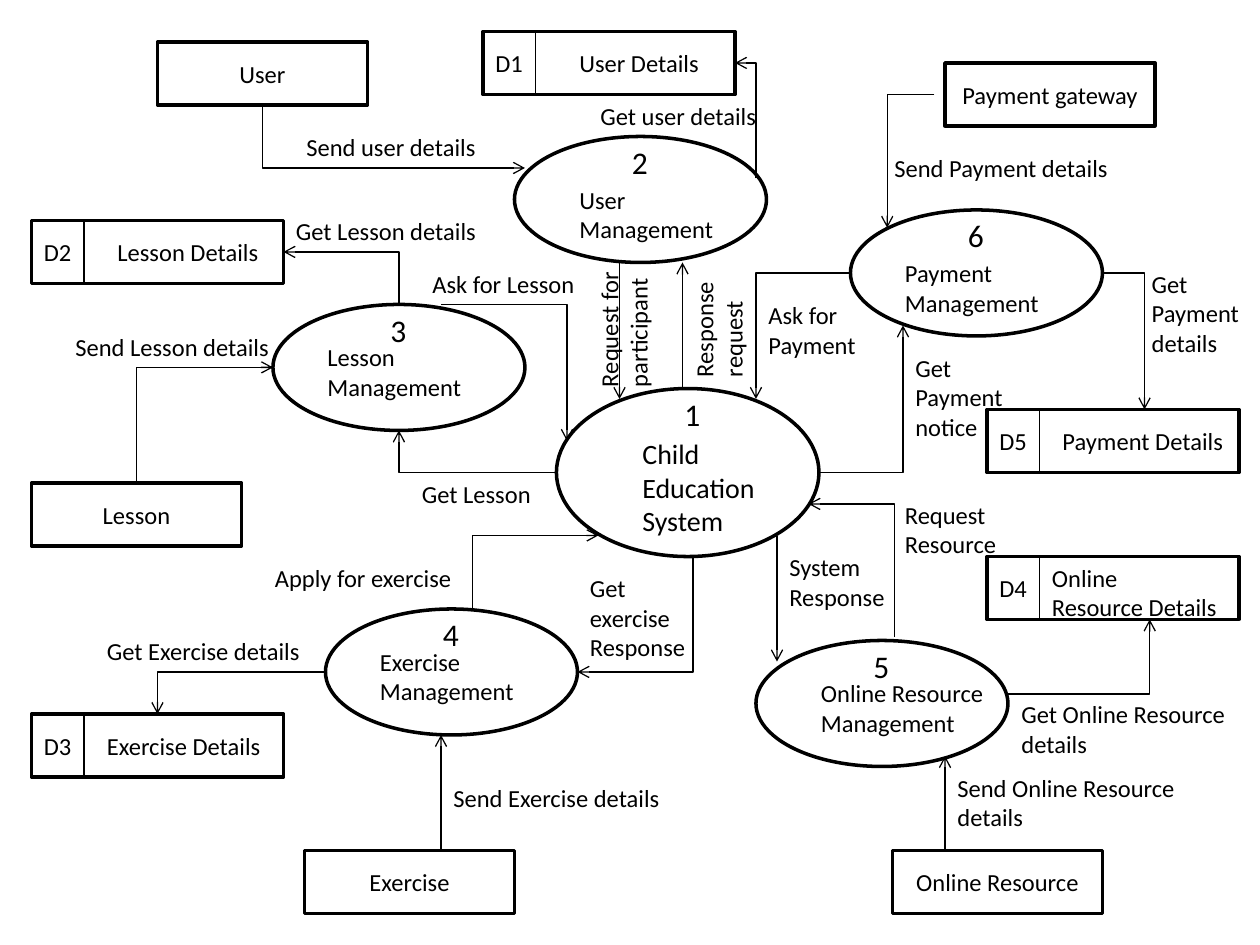
"""Build a data flow diagram of a child education system on one slide."""
import pptx
import pptx.dml.color
import pptx.enum.shapes
import pptx.enum.text
import pptx.oxml
import pptx.oxml.ns
import pptx.util

THEME = {
    "font": "Calibri",
    "ink": pptx.dml.color.RGBColor(0, 0, 0),
    "text": 14,
    "system": 16,
    "number": 18,
    "outline": pptx.util.Pt(2),
    "flow": pptx.util.Pt(0.75),
}
SHAPES = pptx.enum.shapes.MSO_SHAPE
ALIGN = pptx.enum.text.PP_ALIGN

deck = pptx.Presentation()
deck.slide_width = pptx.util.Inches(10)
deck.slide_height = pptx.util.Inches(7.5)
COLUMNS = 120
CELL = deck.slide_width / COLUMNS
page = deck.slides.add_slide(deck.slide_layouts[6])


def add_box(parent, area, text="", size=THEME["text"], kind=None, wrap=False):
    """Add an outlined shape of the given kind, or a text box without one."""
    left, top, width, height = (round(length * CELL) for length in area)
    if kind is None:
        box = parent.add_textbox(left, top, width, height)
    else:
        box = parent.add_shape(kind, left, top, width, height)
        box.shadow.inherit = False
        box.fill.background()
        box.line.color.rgb = THEME["ink"]
        box.line.width = THEME["outline"]
    if text:
        box.text_frame.word_wrap = wrap
        box.text_frame.text = text
        for para in box.text_frame.paragraphs:
            para.alignment = ALIGN.LEFT if kind is None else ALIGN.CENTER
            para.font.name = THEME["font"]
            para.font.size = pptx.util.Pt(size)
            para.font.color.rgb = THEME["ink"]
    return box


def add_line(parent, ends, route="straight", arrow=True):
    """Add a line; route is straight, across (then vertical) or upright (then horizontal)."""
    x1, y1, x2, y2 = ends
    turn = 0
    if route == "upright":
        turn = 1 if (x2 - x1) * (y2 - y1) < 0 else -1
        middle_x, middle_y = (x1 + x2) / 2, (y1 + y2) / 2
        dx, dy = turn * (x1 - middle_x), turn * (y1 - middle_y)
        ends = middle_x + dy, middle_y - dx, middle_x - dy, middle_y + dx
    kinds = pptx.enum.shapes.MSO_CONNECTOR
    kind = kinds.STRAIGHT if route == "straight" else kinds.ELBOW
    line = parent.add_connector(kind, *(round(length * CELL) for length in ends))
    line.line.color.rgb = THEME["ink"]
    line.line.width = THEME["flow"]
    properties = line._element.spPr
    if route != "straight":
        properties.find(pptx.oxml.ns.qn("a:prstGeom")).set("prst", "bentConnector2")
    if turn:
        properties.find(pptx.oxml.ns.qn("a:xfrm")).set("rot", str(turn * 90 * 60000 % 21600000))
    if arrow:
        stroke = properties.find(pptx.oxml.ns.qn("a:ln"))
        stroke.append(pptx.oxml.parse_xml(
            f'<a:tailEnd {pptx.oxml.ns.nsdecls("a")} type="arrow"/>'))
    properties.append(pptx.oxml.parse_xml(f'<a:effectLst {pptx.oxml.ns.nsdecls("a")}/>'))


entities = [
    ("User", 15, 4),
    ("Payment gateway", 90, 6),
    ("Lesson", 3, 46),
    ("Exercise", 29, 81),
    ("Online Resource", 85, 81),
]
for name, column, row in entities:
    add_box(page.shapes, (column, row, 20, 6), name, kind=SHAPES.RECTANGLE)

stores = [
    ("D1", "User Details", 46, 3, 8, 13.9),
    ("D2", "Lesson Details", 3, 21, 7, 16),
    ("D3", "Exercise Details", 3, 68, 6, 17.3),
    ("D4", "Online\nResource Details", 94, 53, 5, 21),
    ("D5", "Payment Details", 94, 39, 6, 17.9),
]
for code, name, column, row, indent, width in stores:
    store = page.shapes.add_group_shape().shapes
    lines = name.count("\n") + 1
    add_box(store, (column, row, 24, 6), kind=SHAPES.RECTANGLE)
    add_line(store, (column + 5, row, column + 5, row + 6), arrow=False)
    add_box(store, (column, row + 1, 5, 4), code)
    add_box(store, (column + indent, row + 2 - lines, width, 1.2 + 2.84 * lines), name,
            wrap=lines > 1)

processes = [
    ("1", "Child\nEducation\nSystem", (53, 37, 25, 16), (60, 41, 15.7, 14.5), THEME["system"]),
    ("2", "User\nManagement", (49, 13, 24, 12), (54, 17, 15.2, 6.9), THEME["text"]),
    ("3", "Lesson\nManagement", (26, 29, 24, 12), (30, 32, 15.2, 6.9), THEME["text"]),
    ("4", "Exercise\nManagement", (31, 58, 24, 12), (35, 61, 15.2, 6.9), THEME["text"]),
    ("5", "Online Resource\nManagement", (72, 61, 24, 12), (77, 64, 18.6, 6.9), THEME["text"]),
    ("6", "Payment\nManagement", (81, 20, 24, 12), (85, 24, 15.2, 6.9), THEME["text"]),
]
for number, name, oval, name_area, size in processes:
    process = page.shapes.add_group_shape().shapes
    left, top, width, height = oval
    add_box(process, oval, kind=SHAPES.OVAL)
    add_box(process, name_area, name, size)
    add_box(process, (left + (width + 1) // 2 - 2, top, 4, 4.8), number, THEME["number"])

flows = {
    "straight": [
        (42, 81, 42, 70), (90, 81, 90, 72), (59, 25, 59, 38),
        (65, 37, 65, 25), (74, 51, 74, 63),
    ],
    "across": [
        (31, 64, 15, 68), (96, 66.1, 109.5, 59), (89, 9, 84.5, 21.7),
        (105, 26, 109, 39), (81, 26, 72, 38), (78, 45, 86, 31),
        (53, 45, 38, 41), (42, 29, 54, 42),
    ],
    "upright": [
        (25, 10, 50, 16), (72, 17, 70, 6), (38, 29, 27, 24), (13, 46, 26, 35),
        (85.2, 60.7, 77, 48), (66, 53, 55, 64), (45, 58, 57, 51),
    ],
}
for route, paths in flows.items():
    for ends in paths:
        add_line(page.shapes, ends, route)

labels = [
    ("Send user details", 28, 12, 18.7, 0),
    ("Send Lesson details", 6, 31, 21, 0),
    ("Send Exercise details", 42, 74, 22.3, 0),
    ("Send Online Resource\ndetails", 90, 73, 23.9, 0),
    ("Send Payment details", 84, 14, 22.9, 0),
    ("Get user details", 56, 9, 17.4, 0),
    ("Get Lesson details", 27, 20, 19.8, 0),
    ("Get Exercise details", 9, 60, 21, 0),
    ("Get Online Resource\ndetails", 96.1, 66, 22.6, 0),
    ("Get\nPayment\ndetails", 108.5, 25, 11.4, 0),
    ("Apply for exercise", 25, 53, 19.9, 0),
    ("Get\nexercise\nResponse", 55, 54, 12.1, 0),
    ("Request\nResource", 85, 47, 11.8, 0),
    ("System\nResponse", 74, 52, 11.8, 0),
    ("Ask for\nPayment", 72, 28, 10.8, 0),
    ("Get\nPayment\nnotice", 86, 33, 10.8, 0),
    ("Ask for Lesson", 40, 25, 16.1, 0),
    ("Get Lesson", 39, 45, 13, 0),
    ("Request for\nparticipant", 52.4, 27.6, 14, 270),
    ("Response\nrequest", 62.4, 27.6, 12.1, 270),
]
for text, column, row, width, angle in labels:
    height = 1.2 + 2.84 * (text.count("\n") + 1)
    label = add_box(page.shapes, (column, row, width, height), text)
    label.rotation = angle

deck.save("out.pptx")
